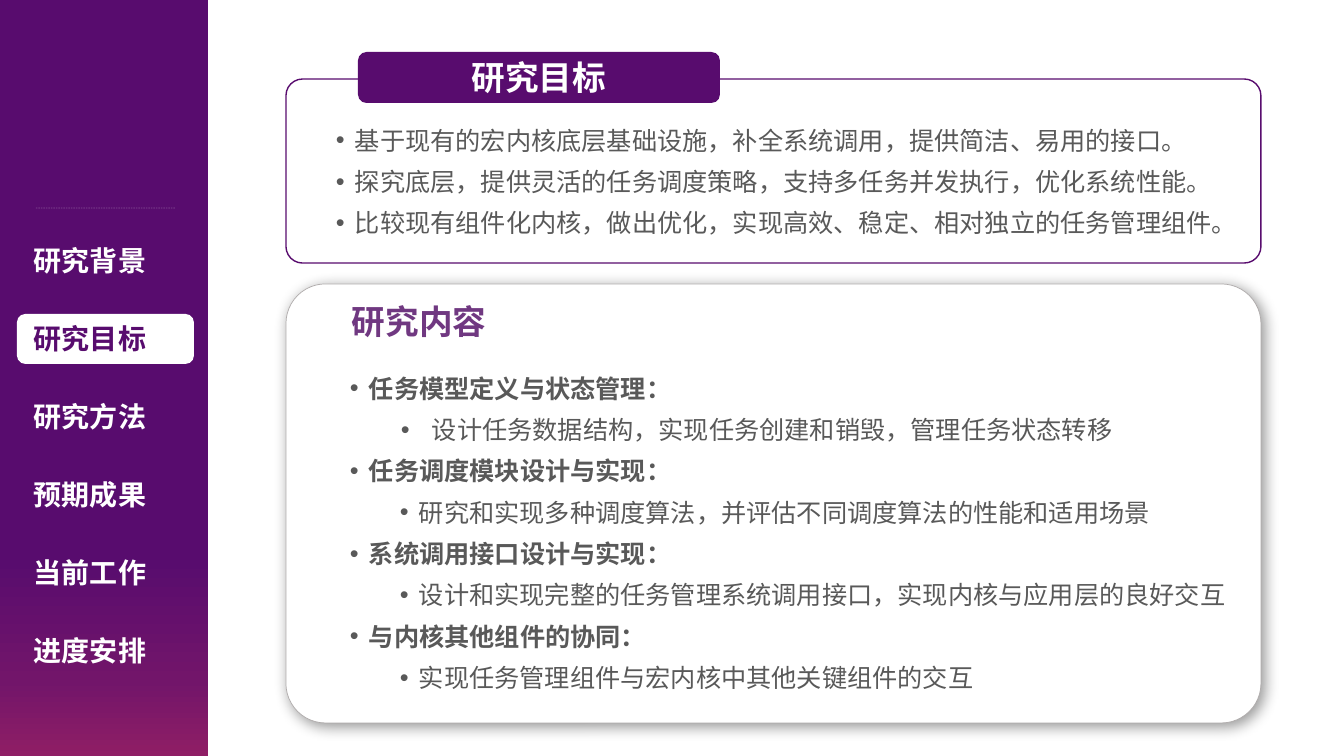
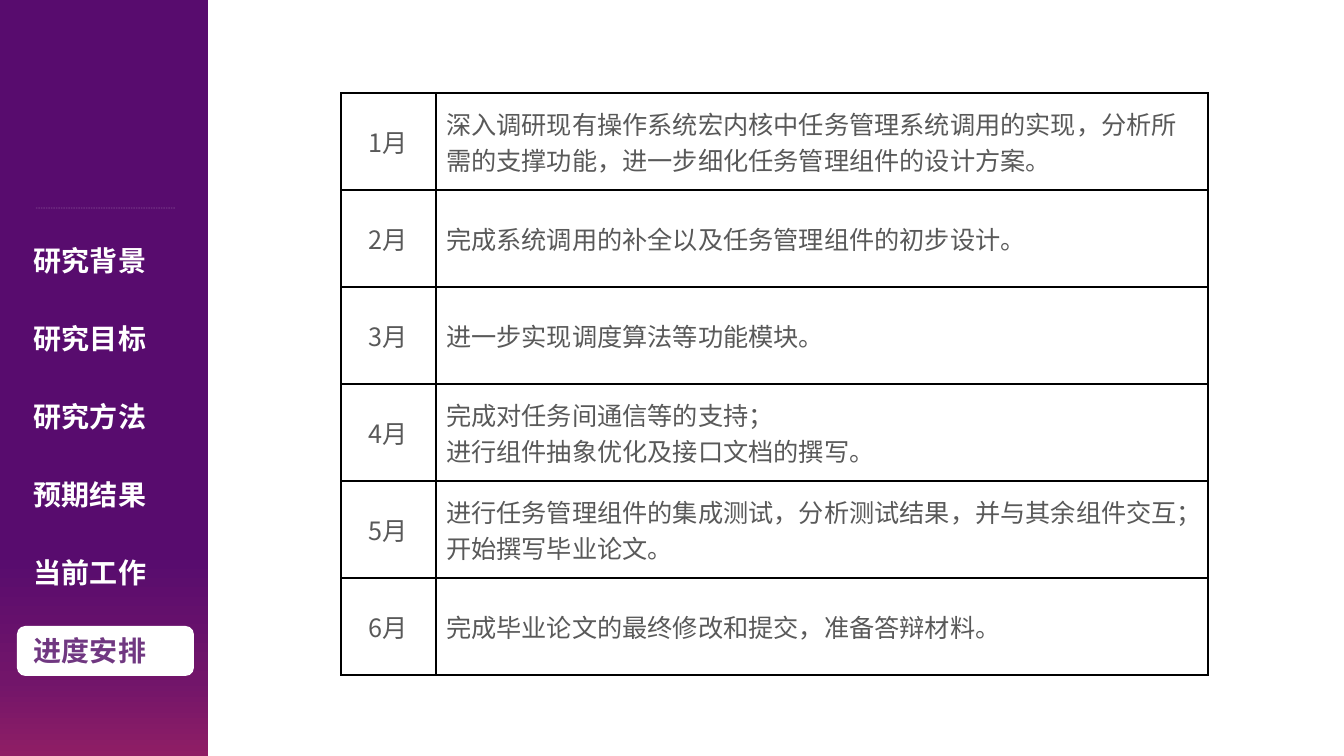
import copy

import lxml.etree
import pptx
import pptx.dml.color
import pptx.enum.dml
import pptx.enum.shapes
import pptx.enum.text
import pptx.oxml.ns
import pptx.util

EMU_PER_PX = 12192000 / 1344
FONT = "Noto Sans CJK SC"
PURPLE = "580C6E"
VIOLET = "703881"
GREY = "595959"
WHITE = "FFFFFF"
BLACK = "000000"
SIDEBAR_STOPS = [(0.74, PURPLE), (0.9, "72156A"), (1, "8F1E65")]

ALIGN = pptx.enum.text.PP_ALIGN
ANCHOR = pptx.enum.text.MSO_ANCHOR
SHAPE = pptx.enum.shapes.MSO_SHAPE
qn = pptx.oxml.ns.qn

GOALS = [
    "基于现有的宏内核底层基础设施，补全系统调用，提供简洁、易用的接口。",
    "探究底层，提供灵活的任务调度策略，支持多任务并发执行，优化系统性能。",
    "比较现有组件化内核，做出优化，实现高效、稳定、相对独立的任务管理组件。",
]
CONTENTS = [
    ("任务模型定义与状态管理：", "设计任务数据结构，实现任务创建和销毁，管理任务状态转移", 82, 31),
    ("任务调度模块设计与实现：", "研究和实现多种调度算法，并评估不同调度算法的性能和适用场景", 69, 19),
    ("系统调用接口设计与实现：", "设计和实现完整的任务管理系统调用接口，实现内核与应用层的良好交互", 69, 19),
    ("与内核其他组件的协同：", "实现任务管理组件与宏内核中其他关键组件的交互", 69, 19),
]
SCHEDULE = [
    ("1月", "深入调研现有操作系统宏内核中任务管理系统调用的实现，分析所需的支撑功能，进一步细化任务管理组件的设计方案。"),
    ("2月", "完成系统调用的补全以及任务管理组件的初步设计。"),
    ("3月", "进一步实现调度算法等功能模块。"),
    ("4月", "完成对任务间通信等的支持；\n进行组件抽象优化及接口文档的撰写。"),
    ("5月", "进行任务管理组件的集成测试，分析测试结果，并与其余组件交互；\n开始撰写毕业论文。"),
    ("6月", "完成毕业论文的最终修改和提交，准备答辩材料。"),
]


def px(n):
    """Turn px into EMU."""
    return pptx.util.Emu(round(n * EMU_PER_PX))


def rgb(value):
    """Turn a hex string into a colour."""
    return pptx.dml.color.RGBColor.from_string(value)


def sub(parent, tag, **attrs):
    """Append a DrawingML child element."""
    return lxml.etree.SubElement(parent, qn(tag), attrs)


def style(p, size, color, bold=False, align=None):
    """Format all runs of a paragraph."""
    p.alignment = align
    for r in p.runs:
        r.font.size = pptx.util.Pt(size)
        r.font.bold = bold
        r.font.name = FONT
        r.font.color.rgb = rgb(color)
        sub(r._r.get_or_add_rPr(), "a:ea", typeface=FONT)


def add_box(slide, kind, x, y, w, h, fill=None, line=None, width=1, radius=None):
    """Add a preset shape without a shadow."""
    sp = slide.shapes.add_shape(kind, px(x), px(y), px(w), px(h))
    sp.shadow.inherit = False
    if radius is not None:
        sp.adjustments[0] = radius
    if fill:
        sp.fill.solid()
        sp.fill.fore_color.rgb = rgb(fill)
    else:
        sp.fill.background()
    if line:
        sp.line.color.rgb = rgb(line)
        sp.line.width = pptx.util.Pt(width)
    else:
        sp.line.fill.background()
    return sp


def add_text(slide, x, y, w, h, text, size, color, bold=False, align=None):
    """Add a text box and return its frame."""
    tf = slide.shapes.add_textbox(px(x), px(y), px(w), px(h)).text_frame
    tf.word_wrap = True
    tf.text = text
    for p in tf.paragraphs:
        style(p, size, color, bold, align)
    return tf


def add_bullet(p, left, hang, level=0):
    """Give a paragraph a bullet, a hanging indent and list spacing."""
    p.level = level
    p.line_spacing = 1.2
    p.space_before = pptx.util.Pt(3.6)
    ppr = p._p.get_or_add_pPr()
    ppr.set("marL", str(px(left)))
    ppr.set("indent", str(-px(hang)))
    sub(ppr, "a:buFont", typeface="Arial")
    sub(ppr, "a:buChar", char="•")


def add_shadow(sp):
    """Give a shape a soft shadow to the lower right."""
    effects = sp._element.spPr.find(qn("a:effectLst"))
    shadow = sub(effects, "a:outerShdw", blurRad="127000", dist="38100",
                 dir="2700000", algn="tl", rotWithShape="0")
    sub(sub(shadow, "a:srgbClr", val=BLACK), "a:alpha", val="40000")


def add_rule(slide, x, y, w):
    """Add the thin dashed rule above the menu."""
    line = slide.shapes.add_connector(
        pptx.enum.shapes.MSO_CONNECTOR.STRAIGHT, px(x), px(y), px(x + w), px(y))
    line.line.color.rgb = rgb(WHITE)
    line.line.width = pptx.util.Pt(0.25)
    line.line.dash_style = pptx.enum.dml.MSO_LINE.DASH
    sppr = line._element.spPr
    sub(sppr.find(".//" + qn("a:srgbClr")), "a:alpha", val="82000")
    sub(sppr, "a:effectLst")


def add_sidebar(slide, x, y, w, h, results, active, active_color):
    """Draw the gradient band and the menu with its active entry."""
    band = add_box(slide, SHAPE.RECTANGLE, x, y, w, h)
    band.fill.gradient()
    band.fill.gradient_angle = 270
    stops = band._element.spPr.find(".//" + qn("a:gsLst"))
    stops.append(copy.deepcopy(stops[0]))
    for stop, (position, color) in zip(band.fill.gradient_stops, SIDEBAR_STOPS):
        stop.position = position
        stop.color.rgb = rgb(color)
    add_rule(slide, x + 36, y + 208, 139)
    labels = ["研究背景", "研究目标", "研究方法", results, "当前工作", "进度安排"]
    for i, label in enumerate(labels):
        top = y + 239 + 78 * i
        color = WHITE
        if i == active:
            color = active_color
            add_box(slide, SHAPE.ROUNDED_RECTANGLE, x + 17, top - 3, 177, 50, WHITE)
        add_text(slide, x + 24, top, 161, 45, label, 20, color, True, ALIGN.JUSTIFY)


def add_goals(slide, x, y, w, h):
    """Draw the outlined goal panel with its tab."""
    add_box(slide, SHAPE.ROUNDED_RECTANGLE, x, y, w, h, line=PURPLE, radius=0.09)
    tf = add_text(slide, x + 40, y + 35, w - 61, 132, "\n".join(GOALS), 18, GREY)
    for p in tf.paragraphs:
        add_bullet(p, 19, 19)
    tab = add_box(slide, SHAPE.ROUNDED_RECTANGLE, x + 72, y - 27, 362, 51, PURPLE)
    tab.text_frame.text = "研究目标"
    tab.text_frame.vertical_anchor = ANCHOR.MIDDLE
    style(tab.text_frame.paragraphs[0], 24, WHITE, True, ALIGN.CENTER)


def add_contents(slide, x, y, w, h):
    """Draw the shadowed card with its two-level list."""
    card = add_box(slide, SHAPE.ROUNDED_RECTANGLE, x, y, w, h, WHITE, "AFABAB", 0.5, 0.09)
    add_shadow(card)
    add_text(slide, x + 56, y + 12, 160, 51, "研究内容", 24, VIOLET, True)
    lines = [line for topic in CONTENTS for line in topic[:2]]
    tf = add_text(slide, x + 54, y + 78, w - 75, h - 78, "\n".join(lines), 18, GREY)
    for i, (_, _, left, hang) in enumerate(CONTENTS):
        heading, detail = tf.paragraphs[2 * i:2 * i + 2]
        heading.runs[0].font.bold = True
        add_bullet(heading, 19, 19)
        add_bullet(detail, left, hang, 1)


def format_cell(cell, text, align):
    """Fill one bordered table cell."""
    cell.text = text
    cell.vertical_anchor = ANCHOR.MIDDLE
    for p in cell.text_frame.paragraphs:
        style(p, 18, GREY, align=align)
    tcpr = cell._tc.get_or_add_tcPr()
    for side in ("a:lnL", "a:lnR", "a:lnT", "a:lnB"):
        line = sub(tcpr, side, w="12700")
        sub(sub(line, "a:solidFill"), "a:srgbClr", val=BLACK)
    cell.fill.background()


def add_schedule(slide, x, y, w, h):
    """Draw the month table."""
    table = slide.shapes.add_table(len(SCHEDULE), 2, px(x), px(y), px(w), px(h)).table
    table.first_row = False
    table.horz_banding = False
    table.columns[0].width = px(95)
    table.columns[1].width = px(w - 95)
    for i, (month, task) in enumerate(SCHEDULE):
        table.rows[i].height = px(h / len(SCHEDULE))
        format_cell(table.cell(i, 0), month, ALIGN.CENTER)
        format_cell(table.cell(i, 1), task, ALIGN.LEFT)


def main():
    """Build and save the two slides."""
    prs = pptx.Presentation()
    prs.slide_width, prs.slide_height = px(1344), px(756)
    blank = prs.slide_layouts[6]

    s = prs.slides.add_slide(blank)
    add_sidebar(s, 0, 0, 208, 756, "预期成果", 1, PURPLE)
    add_goals(s, 286, 79, 975, 184)
    add_contents(s, 286, 284, 975, 439)

    s = prs.slides.add_slide(blank)
    add_sidebar(s, 0, 0, 208, 756, "预期结果", 5, VIOLET)
    add_schedule(s, 341, 93, 867, 582)

    prs.save("out.pptx")


if __name__ == "__main__":
    main()
